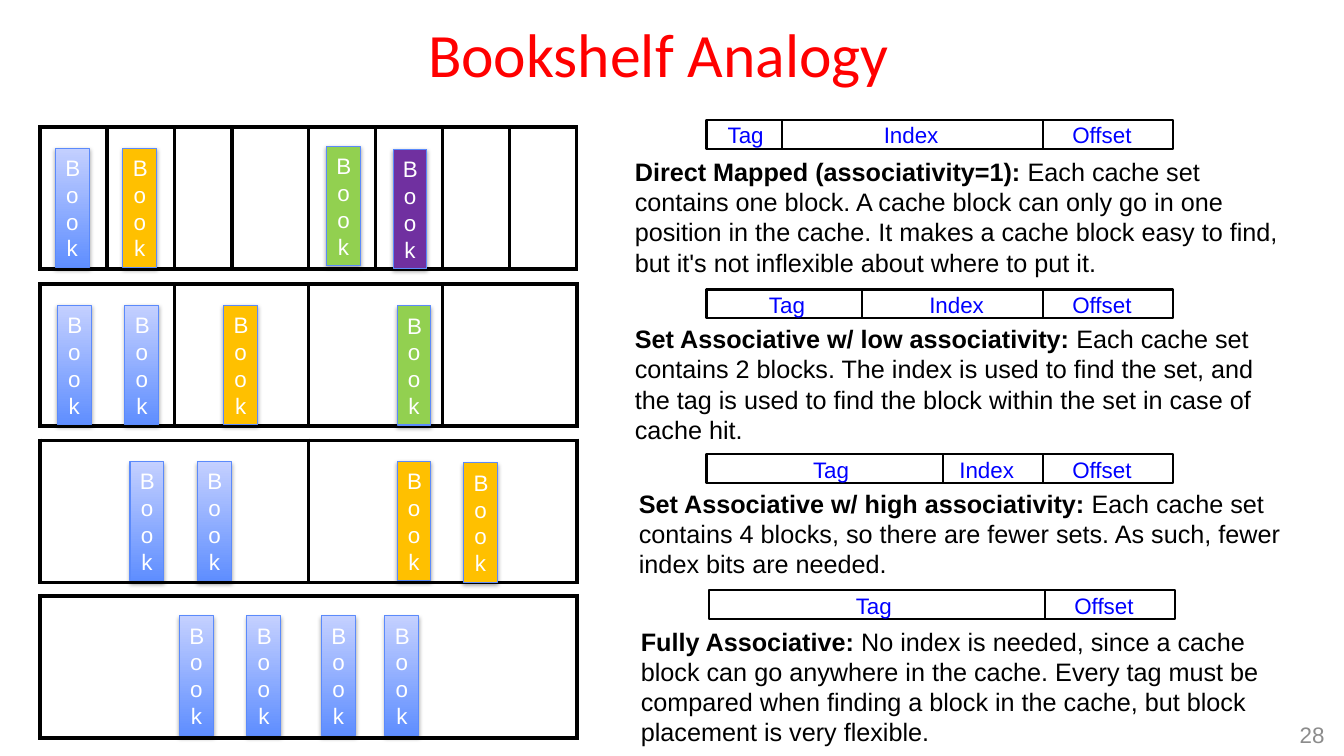
from lxml import etree
from pptx import Presentation
from pptx.dml.color import RGBColor
from pptx.enum.dml import MSO_LINE
from pptx.enum.shapes import MSO_CONNECTOR, MSO_SHAPE
from pptx.enum.text import MSO_ANCHOR, MSO_AUTO_SIZE, PP_ALIGN
from pptx.oxml import parse_xml
from pptx.oxml.ns import nsdecls, qn
from pptx.util import Pt

LINE, RECT = MSO_CONNECTOR.STRAIGHT, MSO_SHAPE.RECTANGLE
SOLID, MIDDLE = MSO_LINE.SOLID, MSO_ANCHOR.MIDDLE
CENTER, RIGHT = PP_ALIGN.CENTER, PP_ALIGN.RIGHT
FIT, FIXED = MSO_AUTO_SIZE.SHAPE_TO_FIT_TEXT, MSO_AUTO_SIZE.NONE

BLACK, WHITE, LABEL = "000000", "FFFFFF", "0000FF"
BLUE, GOLD, GREEN, PURPLE = None, "FFC000", "92D050", "7030A0"
SHELF_X, SHELF_W, SHELF_H = 28.8, 383.2, 101.5
BOOK_W, BOOK_H, BOOK_DROP = 24.2, 85.2, 15.1
BAR_W, BAR_H, OFFSET_X = 333.4, 20.7, 240.5

# Shelf: top, column widths, books as (colour, left, extra drop)
SHELVES = [
    (90.7, [47.9, 47.9, 41.1, 54.7] + [47.9] * 4,
     [(BLUE, 39.6, 0), (GOLD, 87.8, 0), (GREEN, 233.3, -1.3), (PURPLE, 280.8, 0.8)]),
    (203, [SHELF_W / 4] * 4,
     [(BLUE, 41, 0), (BLUE, 89.3, 0), (GOLD, 159.8, 0), (GREEN, 283.7, 0.3)]),
    (314.6, [SHELF_W / 2] * 2,
     [(BLUE, 92.9, 0), (BLUE, 141.1, 0), (GOLD, 283.7, -0.3), (GOLD, 331.2, 1)]),
    (425.5, [SHELF_W],
     [(BLUE, x, -0.7) for x in (128.2, 176.4, 229.7, 275)]),
]

# Address bar: left, top, index divider, labels with their place in the bar
BARS = [
    (504.7, 85.5, 54, {"Tag": 8, "Index": 119.5}),
    (504.7, 206.8, 111, {"Tag": 37.5, "Index": 152}),
    (504.7, 324.5, 169, {"Tag": 69, "Index": 173.5}),
    (506.2, 421.7, None, {"Tag": 98}),
]

NOTES = [
    (446.4, 108, 94.3, "Direct Mapped (associativity=1): ",
     "Each cache set contains one block. A cache block can only go in one position "
     "in the cache. It makes a cache block easy to find, but it's not inflexible "
     "about where to put it."),
    (446.4, 227.5, 94.3, "Set Associative w/ low associativity:",
     " Each cache set contains 2 blocks. The index is used to find the set, and "
     "the tag is used to find the block within the set in case of cache hit."),
    (449.3, 344.9, 72.7, "Set Associative w/ high associativity: ",
     "Each cache set contains 4 blocks, so there are fewer sets. As such, fewer "
     "index bits are needed."),
    (450.7, 443.5, 94.3, "Fully Associative: ",
     "No index is needed, since a cache block can go anywhere in the cache. Every "
     "tag must be compared when finding a block in the cache, but block placement "
     "is very flexible."),
]


def color(code):
    return RGBColor.from_string(code)


def put(item, **vals):
    """Set each named attribute on item."""
    for key, val in vals.items():
        setattr(item, key, val)


def place(*nums):
    return [Pt(num) for num in nums]


def write(para, text, size, code, bold=False, face="Arial"):
    run = para.add_run()
    run.text = text
    put(run.font, name=face, size=Pt(size), bold=bold)
    run.font.color.rgb = color(code)


def stroke(item, code, width):
    item.line.color.rgb = color(code)
    put(item.line, width=Pt(width), dash_style=SOLID)


def add_title(slide, text):
    title = slide.shapes.title
    left, top, width, height = place(87.8, 12.2, 765.4, 58.3)
    put(title, left=left, top=top, width=width, height=height)
    put(title.text_frame, vertical_anchor=MIDDLE, auto_size=FIXED)
    para = title.text_frame.paragraphs[0]
    put(para, alignment=CENTER, line_spacing=0.9)
    write(para, text, 44, "FF0000", face="Calibri")


def add_text(slide, box, **frame):
    """Add a text box and return its first paragraph."""
    text = slide.shapes.add_textbox(*place(*box)).text_frame
    put(text, **frame)
    return text.paragraphs[0]


def add_shelf(slide, top, cols):
    box = place(SHELF_X, top, SHELF_W, SHELF_H)
    table = slide.shapes.add_table(1, len(cols), *box).table
    put(table, first_row=False, horz_banding=False)
    for col, width in zip(table.columns, cols):
        col.width = Pt(width)
    for cell in table.iter_cells():
        cell.fill.background()
        props = cell._tc.get_or_add_tcPr()
        for spot, side in enumerate(("lnL", "lnR", "lnT", "lnB")):
            props.insert(spot, parse_xml(
                f'<a:{side} {nsdecls("a")} w="{Pt(3)}"><a:solidFill>'
                f'<a:srgbClr val="{BLACK}"/></a:solidFill></a:{side}>'))


def add_shade(shape):
    """Give the shape a soft shadow straight below it."""
    shape.shadow.inherit = False
    effects = shape._element.spPr.find(qn("a:effectLst"))
    effects.append(parse_xml(
        f'<a:outerShdw {nsdecls("a")} blurRad="{Pt(3.1)}" dist="{Pt(1.8)}" '
        f'dir="5400000" rotWithShape="0"><a:srgbClr val="{BLACK}">'
        '<a:alpha val="35000"/></a:srgbClr></a:outerShdw>'))


def add_book(slide, code, left, top):
    book = slide.shapes.add_shape(RECT, *place(left, top, BOOK_W, BOOK_H))
    if code:
        book.fill.solid()
        book.fill.fore_color.rgb = color(code)
    else:
        book.fill.gradient()
        book.fill.gradient_angle = 90
        for stop, shade in zip(book.fill.gradient_stops, ("5F8EFF", "C4D0FF")):
            stop.color.rgb = color(shade)
    stroke(book, "5B8AFB", 0.75)
    add_shade(book)
    put(book.text_frame, word_wrap=True, vertical_anchor=MIDDLE)
    para = book.text_frame.paragraphs[0]
    para.alignment = CENTER
    write(para, "Book", 16, WHITE)


def add_bar(slide, left, top, split, labels):
    bar = slide.shapes.add_shape(RECT, *place(left, top, BAR_W, BAR_H))
    bar.shadow.inherit = False
    bar.fill.background()
    stroke(bar, BLACK, 1.5)
    for gap in filter(None, (split, OFFSET_X)):
        x = left + gap
        line = slide.shapes.add_connector(LINE, *place(x, top, x, top + BAR_H))
        stroke(line, BLACK, 1.5)
        etree.SubElement(line._element.spPr, qn("a:effectLst"))
    widths = {"Tag": 40.3, "Index": 54, "Offset": 57.6}
    for text, gap in {**labels, "Offset": OFFSET_X + 13.7}.items():
        box = (left + gap, top - 2.4, widths[text], 26.6)
        para = add_text(slide, box, word_wrap=False, auto_size=FIT)
        write(para, text, 16, LABEL)


def add_note(slide, left, top, height, head, body):
    box = (left, top, 480.2, height)
    para = add_text(slide, box, word_wrap=True, auto_size=FIT)
    write(para, head, 18, BLACK, bold=True)
    write(para, body, 18, BLACK)


def add_page(slide, text):
    box = (905, 509.8, 48.2, 30.2)
    para = add_text(slide, box, word_wrap=True, vertical_anchor=MIDDLE)
    para.alignment = RIGHT
    write(para, text, 16, "8C8C8C")


def main():
    deck = Presentation()
    put(deck, slide_width=Pt(960), slide_height=Pt(540))
    slide = deck.slides.add_slide(deck.slide_layouts[5])
    add_title(slide, "Bookshelf Analogy")
    for top, cols, books in SHELVES:
        add_shelf(slide, top, cols)
        for code, left, drop in books:
            add_book(slide, code, left, top + BOOK_DROP + drop)
    for bar in BARS:
        add_bar(slide, *bar)
    for note in NOTES:
        add_note(slide, *note)
    add_page(slide, "28")
    deck.save("out.pptx")


if __name__ == "__main__":
    main()
